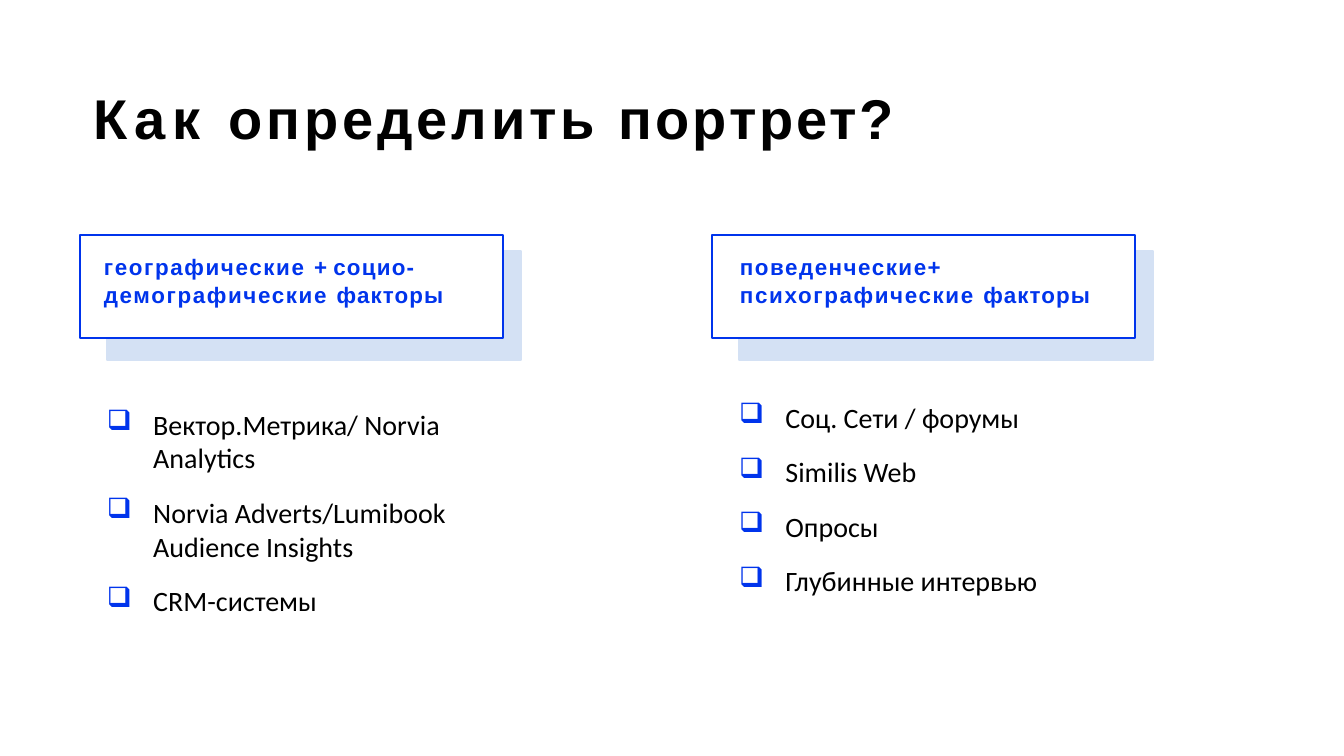
from lxml import etree
from pptx import Presentation
from pptx.dml.color import RGBColor
from pptx.enum import shapes, text
from pptx.oxml import ns
from pptx.util import Inches, Pt

BLACK, WHITE, BLUE, PALE = "000000", "FFFFFF", "0034EC", "D4E1F4"

# Content: each run is (words, letter spacing in points)
TITLE = [("Как ", 4.5), ("определить ", 2.8), ("портрет?", 2.1)]
COLUMNS = [
    {
        "left": 0.79,
        "heading": [("географические ", 1.2), ("+ ", 0), ("социо- ", 0.9),
                    ("демографические ", 1.2), ("факторы", 0.8)],
        "heading_indent": 0.24,
        "sources": ["Вектор.Метрика/ Norvia Analytics",
                    "Norvia Adverts/Lumibook Audience Insights",
                    "CRM-системы"],
        "list_box": (1.05, 4.03, 3.86, 2.12),
    },
    {
        "left": 7.06,
        "heading": [("поведенческие+ ", 1.1), ("психографические ", 1.2),
                    ("факторы", 0.8)],
        "heading_indent": 0.28,
        "sources": ["Соц. Сети / форумы", "Similis Web", "Опросы",
                    "Глубинные интервью"],
        "list_box": (7.32, 3.96, 3.26, 1.99),
    },
]


def rgb(color):
    return RGBColor.from_string(color)


def write(shape, paragraphs, font="Arial", size=16, color=BLACK, bold=False,
          inset=0, anchor=text.MSO_ANCHOR.TOP, indent=0, hanging=0,
          line_spacing=None, space_before=0, bullet=None):
    """Fill a shape with paragraphs, each a list of (words, spacing) runs."""
    frame = shape.text_frame
    frame.word_wrap = True
    frame.vertical_anchor = anchor
    frame.margin_left = frame.margin_right = frame.margin_bottom = 0
    frame.margin_top = Inches(inset)
    for i, runs in enumerate(paragraphs):
        para = frame.add_paragraph() if i else frame.paragraphs[0]
        props = para._p.get_or_add_pPr()
        props.set("marL", str(Inches(indent)))
        props.set("indent", str(-Inches(hanging)))
        if bullet:
            bullet_color = etree.SubElement(props, ns.qn("a:buClr"))
            etree.SubElement(bullet_color, ns.qn("a:srgbClr"), val=BLUE)
            etree.SubElement(props, ns.qn("a:buChar"), char=bullet)
        para.alignment = text.PP_ALIGN.LEFT
        if line_spacing:
            para.line_spacing = line_spacing
        if i:
            para.space_before = Pt(space_before)
        for words, spacing in runs:
            run = para.add_run()
            run.text = words
            run.font.name = font
            run.font.size = Pt(size)
            run.font.bold = bold
            run.font.color.rgb = rgb(color)
            run._r.get_or_add_rPr().set("spc", str(round(spacing * 100)))


def add_panel(slide, box, fill, line):
    panel = slide.shapes.add_shape(shapes.MSO_SHAPE.RECTANGLE, *map(Inches, box))
    panel.shadow.inherit = False
    panel.fill.solid()
    panel.fill.fore_color.rgb = rgb(fill)
    panel.line.color.rgb = rgb(line)
    panel.line.width = Pt(1.5)
    return panel


def add_text_box(slide, box):
    return slide.shapes.add_textbox(*map(Inches, box))


def main():
    deck = Presentation()
    deck.slide_width, deck.slide_height = Inches(13.33), Inches(7.5)
    slide = deck.slides.add_slide(deck.slide_layouts[6])

    # Title
    title = add_text_box(slide, (0.92, 0.4, 11.5, 1.45))
    write(title, [TITLE], size=40, bold=True, inset=0.07, indent=0.01,
          anchor=text.MSO_ANCHOR.MIDDLE)

    for column in COLUMNS:
        # Heading card over its offset backing
        left, top = column["left"], 2.33
        add_panel(slide, (left + 0.27, top + 0.16, 4.11, 1.08), PALE, PALE)
        heading = add_panel(slide, (left, top, 4.2, 1.02), WHITE, BLUE)
        write(heading, [column["heading"]], color=BLUE, bold=True, inset=0.18,
              indent=column["heading_indent"], line_spacing=1.02)

        # Checklist of sources
        checklist = add_text_box(slide, column["list_box"])
        write(checklist, [[(source, 0)] for source in column["sources"]],
              font="Calibri", size=20, inset=0.01, indent=0.47, hanging=0.46,
              space_before=15, bullet="❑")

    deck.save("out.pptx")


if __name__ == "__main__":
    main()
